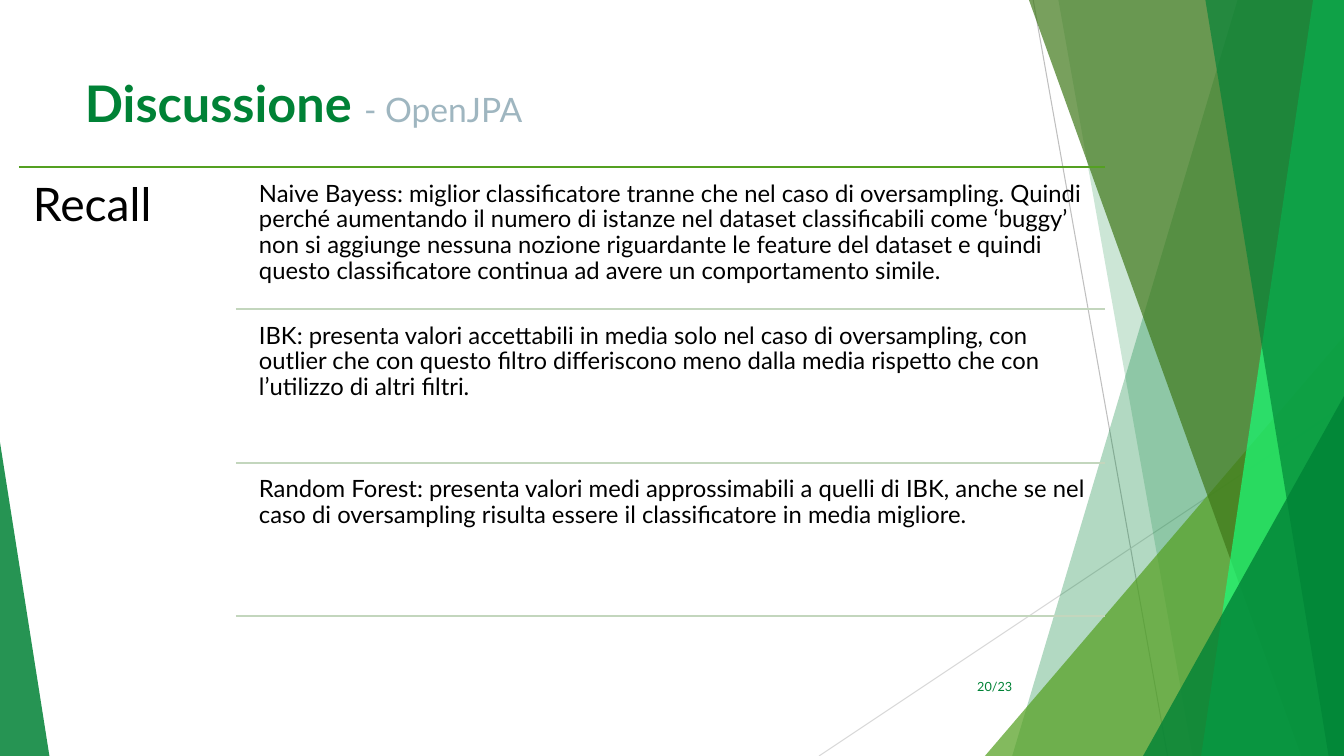
from collections import namedtuple

from lxml.etree import SubElement
from pptx import Presentation
from pptx.dml.color import RGBColor
from pptx.enum.shapes import MSO_CONNECTOR as Connector, MSO_SHAPE as Shape
from pptx.enum.text import MSO_ANCHOR as Anchor, PP_ALIGN as Align
from pptx.oxml.ns import qn
from pptx.util import Pt

Box = namedtuple("Box", "left top width height")

FONT = "Lato"
GREEN = RGBColor(0x00, 0x82, 0x36)
LEAF = RGBColor(0x54, 0xA0, 0x21)
OLIVE = RGBColor(0x3F, 0x78, 0x19)
MINT = RGBColor(0x1B, 0xFF, 0x7A)
SAGE = RGBColor(0xC3, 0xD6, 0xBD)
BLUE_GRAY = RGBColor(0x9F, 0xB6, 0xC0)
GRAY = RGBColor(0xBF, 0xBF, 0xBF)
LIGHT_GRAY = RGBColor(0xD9, 0xD9, 0xD9)
BLACK = RGBColor(0x00, 0x00, 0x00)

FINDINGS = [
    "Naive Bayess: miglior classificatore tranne che nel caso di oversampling. "
    "Quindi perché aumentando il numero di istanze nel dataset classificabili "
    "come ‘buggy’ non si aggiunge nessuna nozione riguardante le feature del "
    "dataset e quindi questo classificatore continua ad avere un comportamento "
    "simile.",
    "IBK: presenta valori accettabili in media solo nel caso di oversampling, "
    "con outlier che con questo filtro differiscono meno dalla media rispetto "
    "che con l’utilizzo di altri filtri.",
    "Random Forest: presenta valori medi approssimabili a quelli di IBK, anche "
    "se nel caso di oversampling risulta essere il classificatore in media "
    "migliore.",
]


def add_line(slide, x1, y1, x2, y2, color, width):
    line = slide.shapes.add_connector(
        Connector.STRAIGHT, Pt(x1), Pt(y1), Pt(x2), Pt(y2))
    line.line.color.rgb = color
    line.line.width = Pt(width)
    SubElement(line._element.spPr, qn("a:effectLst"))


def paint(shape, color, opacity):
    """Fill the shape, with opacity in percent, and drop outline and shadow."""
    shape.shadow.inherit = False
    shape.line.fill.background()
    shape.fill.solid()
    shape.fill.fore_color.rgb = color
    color_element = shape._element.spPr.find(qn("a:solidFill"))[0]
    SubElement(color_element, qn("a:alpha"), val=str(opacity * 1000))


def add_facet(slide, box, top_x, bottom_x, color, opacity):
    """Fill from a slanted left edge to the right side of the box."""
    right, bottom = box.left + box.width, box.top + box.height
    builder = slide.shapes.build_freeform(Pt(box.left + top_x), Pt(box.top))
    corners = [(right, box.top), (right, bottom), (box.left + bottom_x, bottom)]
    builder.add_line_segments([(Pt(x), Pt(y)) for x, y in corners])
    paint(builder.convert_to_shape(), color, opacity)


def add_corner(slide, box, width, height, apex, color, opacity):
    """Right triangle in a bottom corner: apex 0 is left, 1 is right."""
    left = box.left + apex * (box.width - width)
    top = box.top + box.height - height
    shape = slide.shapes.add_shape(
        Shape.ISOSCELES_TRIANGLE, Pt(left), Pt(top), Pt(width), Pt(height))
    shape.adjustments[0] = apex
    paint(shape, color, opacity)


def add_decoration(slide, box):
    right, bottom = box.left + box.width, box.top + box.height
    add_line(slide, box.left + 738, box.top, box.left + 834, bottom, GRAY, 0.75)
    add_line(slide, right, box.top + 290, box.left + 585, bottom,
             LIGHT_GRAY, 0.75)
    add_facet(slide, box, 884, 723, GREEN, 30)
    add_facet(slide, box, 756, 852, GREEN, 20)
    add_corner(slide, box, 256.5, 300, 1, LEAF, 72)
    add_facet(slide, box, 735, 929.5, OLIVE, 70)
    add_facet(slide, box, 938, 858, MINT, 70)
    add_facet(slide, box, 861, 949, GREEN, 65)
    add_corner(slide, box, 143.5, 257, 1, GREEN, 80)
    add_corner(slide, box, 35.3, 224, 0, GREEN, 85)


def format_run(run, size, color, bold=False):
    run.font.name = FONT
    run.font.size = Pt(size)
    run.font.color.rgb = color
    run.font.bold = bold


def add_text(slide, box, text, size, color, inset=None):
    text_box = slide.shapes.add_textbox(*map(Pt, box))
    frame = text_box.text_frame
    frame.word_wrap = True
    if inset is not None:
        frame.margin_left = frame.margin_right = Pt(inset)
        frame.margin_top = frame.margin_bottom = Pt(inset)
    frame.text = text
    format_run(frame.paragraphs[0].runs[0], size, color)
    return frame


def add_title(slide, box, title, subject):
    frame = add_text(slide, box, title, 36, GREEN)
    paragraph = frame.paragraphs[0]
    paragraph.runs[0].font.bold = True
    run = paragraph.add_run()
    run.text = subject
    format_run(run, 24, BLUE_GRAY)


def add_page_number(slide, box, text):
    frame = add_text(slide, box, text, 9, GREEN)
    frame.vertical_anchor = Anchor.MIDDLE
    frame.paragraphs[0].alignment = Align.RIGHT


def add_findings(slide, box, heading, findings):
    """Heading on the left, ruled rows of text on the right."""
    right = box.left + box.width
    heading_width, indent, gap = 155, 11.5, 5.2
    first_height = 101.5
    row_height = (box.height - first_height) / (len(findings) - 1)

    add_line(slide, box.left, box.top, right, box.top, LEAF, 1.5)
    frame = add_text(slide, box._replace(width=heading_width), heading,
                     33, BLACK, 10)
    frame.paragraphs[0].line_spacing = 0.9

    rule_left = box.left + heading_width
    text_left = rule_left + indent
    top = box.top
    for index, finding in enumerate(findings):
        height = row_height if index else first_height
        row = Box(text_left, top + gap, right - text_left, height - gap)
        frame = add_text(slide, row, finding, 17, BLACK, 5)
        frame.paragraphs[0].line_spacing = 0.9
        top += height
        add_line(slide, rule_left, top, right, top, SAGE, 1.5)


def main():
    presentation = Presentation()
    presentation.slide_width, presentation.slide_height = Pt(960), Pt(540)
    slide = presentation.slides.add_slide(presentation.slide_layouts[6])
    add_decoration(slide, Box(0, 0, 960, 540))
    add_title(slide, Box(53.5, 48, 677, 104), "Discussione ", "- OpenJPA")
    add_page_number(slide, Box(676, 476, 54, 29), "20/23")
    add_findings(slide, Box(13.5, 119.5, 775.5, 320.5), "Recall", FINDINGS)
    presentation.save("out.pptx")


if __name__ == "__main__":
    main()
